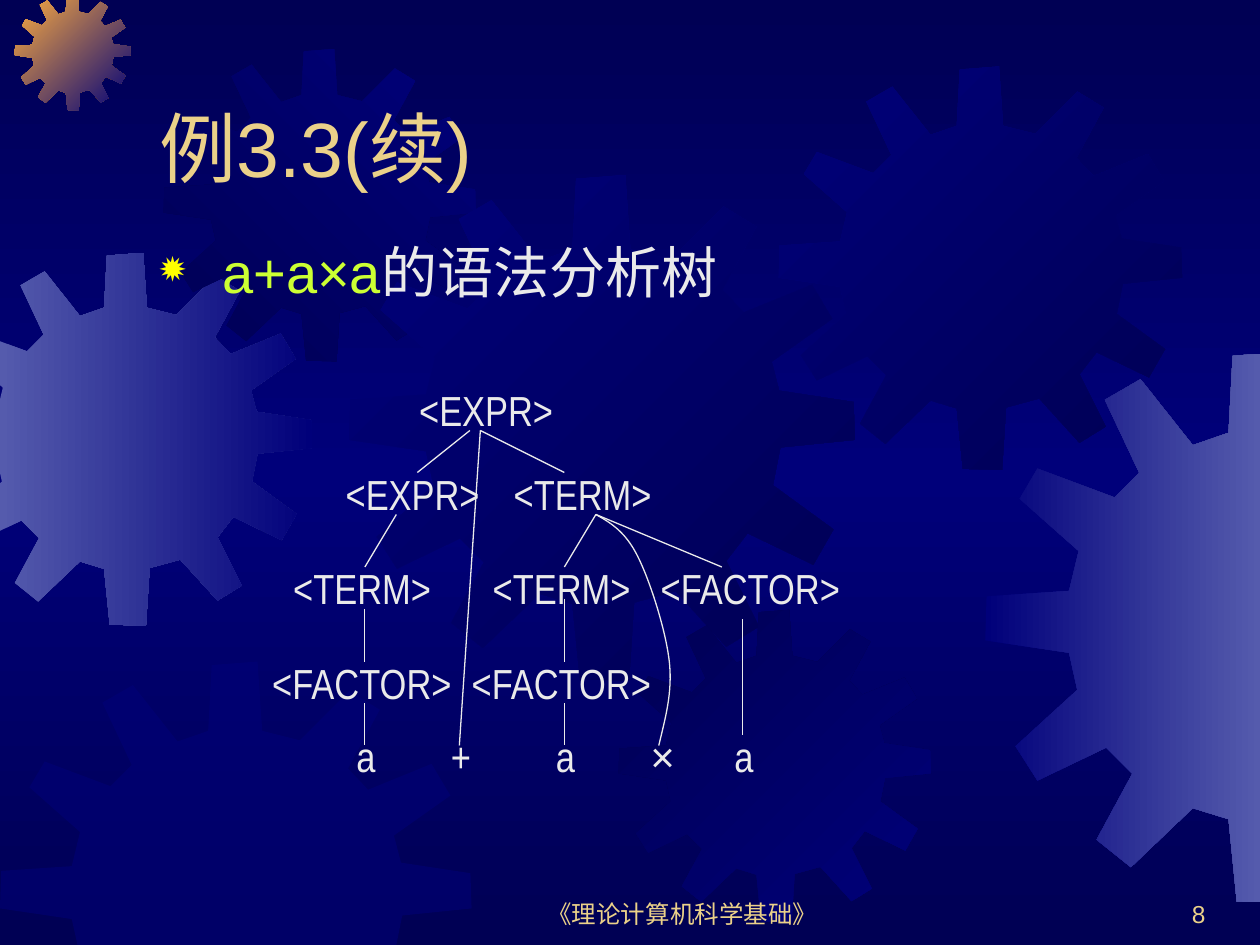
from copy import deepcopy

from lxml.etree import SubElement
from pptx import Presentation
from pptx.dml.color import RGBColor
from pptx.enum.shapes import MSO_CONNECTOR
from pptx.enum.text import MSO_ANCHOR, PP_ALIGN
from pptx.oxml.ns import qn
from pptx.util import Pt

WIDTH, HEIGHT = 720, 540
NIGHT = RGBColor(0x00, 0x00, 0x54)
NAVY = RGBColor(0x00, 0x00, 0x7A)
STEEL = RGBColor(0x55, 0x5B, 0xAD)
ORANGE = RGBColor(0xFC, 0xAB, 0x40)
SAND = RGBColor(0xEB, 0xD1, 0x89)
PALE = RGBColor(0xEA, 0xEA, 0xEA)
LIME = RGBColor(0xCC, 0xFF, 0x33)
YELLOW = RGBColor(0xFF, 0xFF, 0x00)

# Gear outline on a square grid
GEAR_GRID = 401
GEAR = [
    (255, 67), (223, 59), (219, 0), (180, 3), (177, 59), (151, 68), (113, 20), (87, 35),
    (112, 88), (94, 106), (38, 85), (25, 107), (68, 145), (61, 174), (1, 178), (0, 210),
    (61, 219), (67, 246), (22, 287), (38, 312), (88, 288), (107, 307), (81, 355), (106, 375),
    (151, 332), (177, 340), (183, 400), (222, 401), (226, 339), (259, 330), (299, 374), (325, 358),
    (299, 306), (316, 284), (368, 309), (384, 281), (336, 246), (342, 216), (401, 210), (400, 180),
    (341, 171), (335, 148), (383, 114), (367, 87), (313, 109), (296, 91), (323, 41), (297, 25),
]
# Left, top, size, first colour, last colour, clockwise angle
GEARS = [
    (-34.5, 144.5, 213, STEEL, NAVY, 0),
    (8.5, -3, 66, ORANGE, NAVY, 45),
    (93.5, 28, 178.5, NIGHT, NAVY, 315),
    (199.5, 100, 289, NAVY, NIGHT, 45),
    (0, 378, 269.5, NAVY, None, 0),
    (353.5, 348.5, 178.5, NIGHT, NAVY, 45),
    (445, 38, 230.5, NAVY, NIGHT, 45),
    (563, 201, 315, NAVY, STEEL, 0),
]

# Parse tree, in points from its top left corner: row top, (left, label) pairs
TREE_ROWS = [
    (0, [(84, "<EXPR>")]),
    (48, [(42, "<EXPR>"), (138, "<TERM>")]),
    (102, [(12, "<TERM>"), (126, "<TERM>"), (222, "<FACTOR>")]),
    (156, [(0, "<FACTOR>"), (114, "<FACTOR>")]),
    (198, [(48, "a"), (102, "+"), (162, "a"), (216, "×"), (264, "a")]),
]
BRANCHES = [
    (120, 30, 90, 54), (78, 78, 60, 108), (60, 132, 60, 162), (60, 186, 60, 210),
    (114, 210, 126, 30), (126, 30, 174, 54), (192, 78, 174, 108), (192, 78, 264, 108),
    (174, 126, 174, 162), (174, 186, 174, 210), (276, 138, 276, 204),
]
CURVE = [(228, 210), (231.5, 195), (236, 180), (234, 162), (232, 144), (223, 116),
         (216, 102), (209, 88), (201, 83), (192, 78)]


def clip(points, axis, limit, sign):
    """Keep the part of a polygon where sign * (coordinate - limit) >= 0."""
    kept = []
    for start, end in zip(points[-1:] + points[:-1], points):
        before, after = (sign * (point[axis] - limit) for point in (start, end))
        if before * after < 0:
            share = before / (before - after)
            kept.append(tuple(a + share * (b - a) for a, b in zip(start, end)))
        if after >= 0:
            kept.append(end)
    return kept


def add_outline(page, points, close):
    corners = [(Pt(x), Pt(y)) for x, y in points]
    builder = page.shapes.build_freeform(*corners[0])
    builder.add_line_segments(corners[1:], close=close)
    shape = builder.convert_to_shape()
    shape.shadow.inherit = False
    return shape


def set_gradient(fill, first, last, angle):
    fill.gradient()
    fill.gradient_angle = (360 - angle) % 360
    for stop, color, position in zip(fill.gradient_stops, (first, last), (0, 1)):
        stop.color.rgb = color
        stop.position = position


def add_backdrop(page):
    set_gradient(page.background.fill, NIGHT, NAVY, 90)
    stops = page.background.fill.gradient_stops
    stops[1].position = 0.5
    stop_list = next(page._element.iter(qn("a:gsLst")))
    closing = deepcopy(stop_list[0])
    closing.set("pos", "100000")
    stop_list.append(closing)


def add_gear(page, left, top, size, first, last, angle):
    scale = size / GEAR_GRID
    points = [(left + x * scale, top + y * scale) for x, y in GEAR]
    for axis, limit, sign in ((0, 0, 1), (1, 0, 1), (0, WIDTH, -1), (1, HEIGHT, -1)):
        points = clip(points, axis, limit, sign)
    gear = add_outline(page, points, True)
    gear.line.fill.background()
    if last is None:  # half transparent
        gear.fill.solid()
        gear.fill.fore_color.rgb = first
        color = gear._element.spPr.find(qn("a:solidFill"))[0]
        SubElement(color, qn("a:alpha"), val="50000")
    else:
        set_gradient(gear.fill, first, last, angle)


def add_text(page, box, spans, size, font="Arial", anchor=MSO_ANCHOR.TOP, align=PP_ALIGN.LEFT):
    """Add one paragraph of (text, colour) spans and return it."""
    frame = page.shapes.add_textbox(*map(Pt, box)).text_frame
    frame.word_wrap = True
    frame.vertical_anchor = anchor
    para = frame.paragraphs[0]
    para.alignment = align
    for text, color in spans:
        span = para.add_run()
        span.text = text
        span.font.color.rgb = color
        for name, value in {"size": Pt(size), "name": font}.items():
            setattr(span.font, name, value)
    return para


def add_bullet_line(page, box):
    para = add_text(page, box, [(" ", PALE), ("a+a×a", LIME), ("的语法分析树", PALE)], 32)
    props = para._p.get_or_add_pPr()
    for name, value in {"marL": Pt(27), "indent": -Pt(27)}.items():
        props.set(name, str(value))
    color = SubElement(props, qn("a:buClr"))
    SubElement(color, qn("a:srgbClr"), val=str(YELLOW))
    SubElement(props, qn("a:buSzPct"), val="80000")
    SubElement(props, qn("a:buChar"), char="✹")


def add_curve(page, points):
    curve = add_outline(page, points, False)
    curve.fill.background()
    # Every three points after the start make one Bézier piece
    track = next(curve._element.iter(qn("a:path")))
    steps = track.findall(qn("a:lnTo"))
    for index in range(0, len(steps), 3):
        piece = SubElement(track, qn("a:cubicBezTo"))
        for step in steps[index:index + 3]:
            piece.append(step[0])
            track.remove(step)
    return curve


def add_tree(page, left, top):
    # Node labels
    for row_top, nodes in TREE_ROWS:
        for node_left, label in nodes:
            width = 138 if len(label) > 1 else 48
            font = "Arial" if label == "×" else "Arial Narrow"
            add_text(page, (left + node_left, top + row_top, width, 36), [(label, PALE)], 24, font)
    # Branches
    lines = []
    for x1, y1, x2, y2 in BRANCHES:
        ends = map(Pt, (left + x1, top + y1, left + x2, top + y2))
        branch = page.shapes.add_connector(MSO_CONNECTOR.STRAIGHT, *ends)
        SubElement(branch._element.spPr, qn("a:effectLst"))
        lines.append(branch)
    lines.append(add_curve(page, [(left + x, top + y) for x, y in CURVE]))
    for item in lines:
        item.line.color.rgb = PALE
        item.line.width = Pt(0.75)


def add_footer(page, top, height):
    for left, width, text, align in (
        (276, 228, "《理论计算机科学基础》", PP_ALIGN.CENTER),
        (546, 150, "8", PP_ALIGN.RIGHT),
    ):
        add_text(page, (left, top, width, height), [(text, SAND)], 14,
                 anchor=MSO_ANCHOR.BOTTOM, align=align)


def main():
    deck = Presentation()
    deck.slide_width, deck.slide_height = Pt(WIDTH), Pt(HEIGHT)
    page = deck.slides.add_slide(deck.slide_layouts[6])
    add_backdrop(page)
    for gear in GEARS:
        add_gear(page, *gear)
    add_footer(page, 498, 36)
    add_text(page, (84, 24, 612, 90), [("例3.3(续)", SAND)], 44, anchor=MSO_ANCHOR.BOTTOM)
    add_bullet_line(page, (84, 132, 612, 60))
    add_tree(page, 148.5, 216)
    deck.save("out.pptx")


if __name__ == "__main__":
    main()
